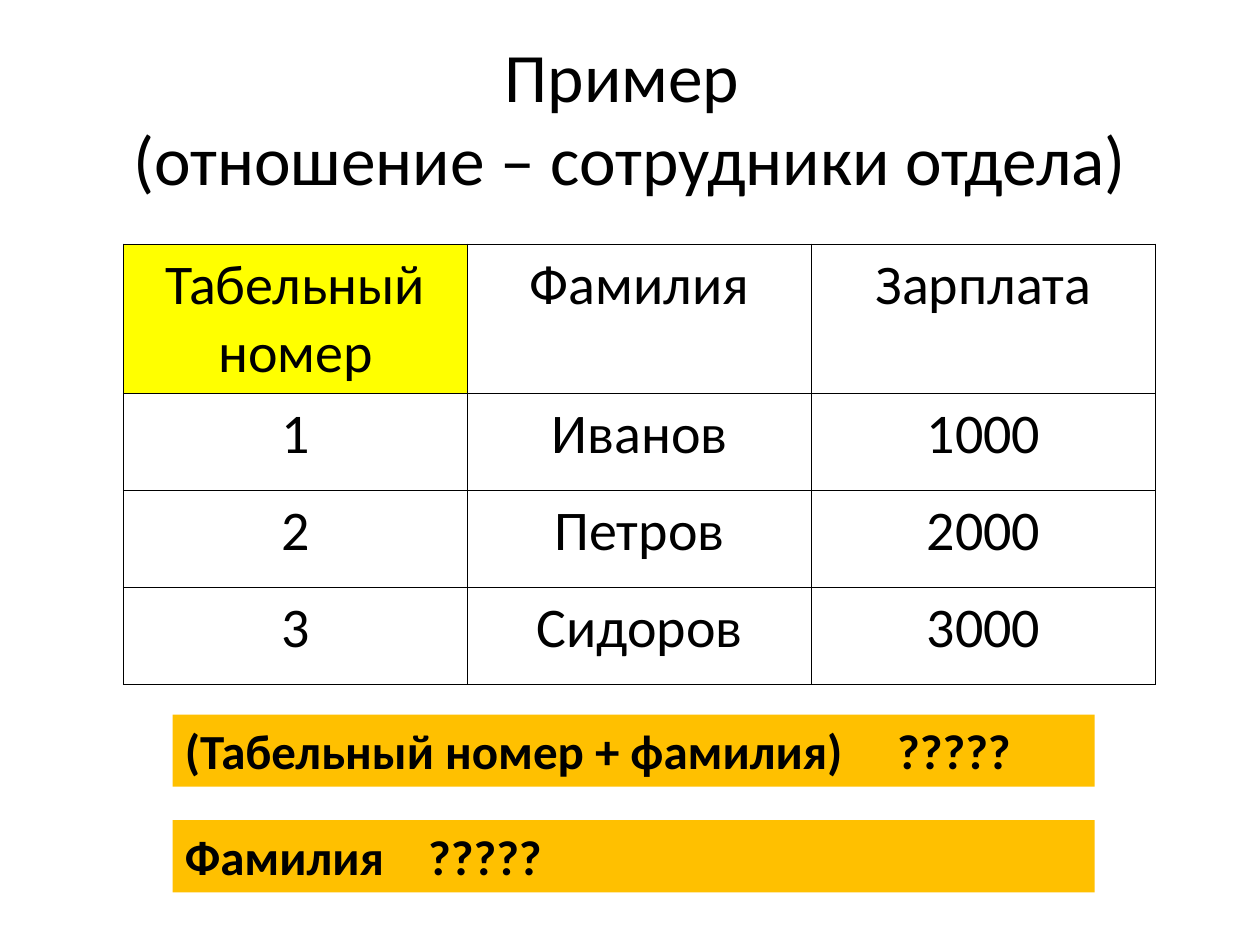
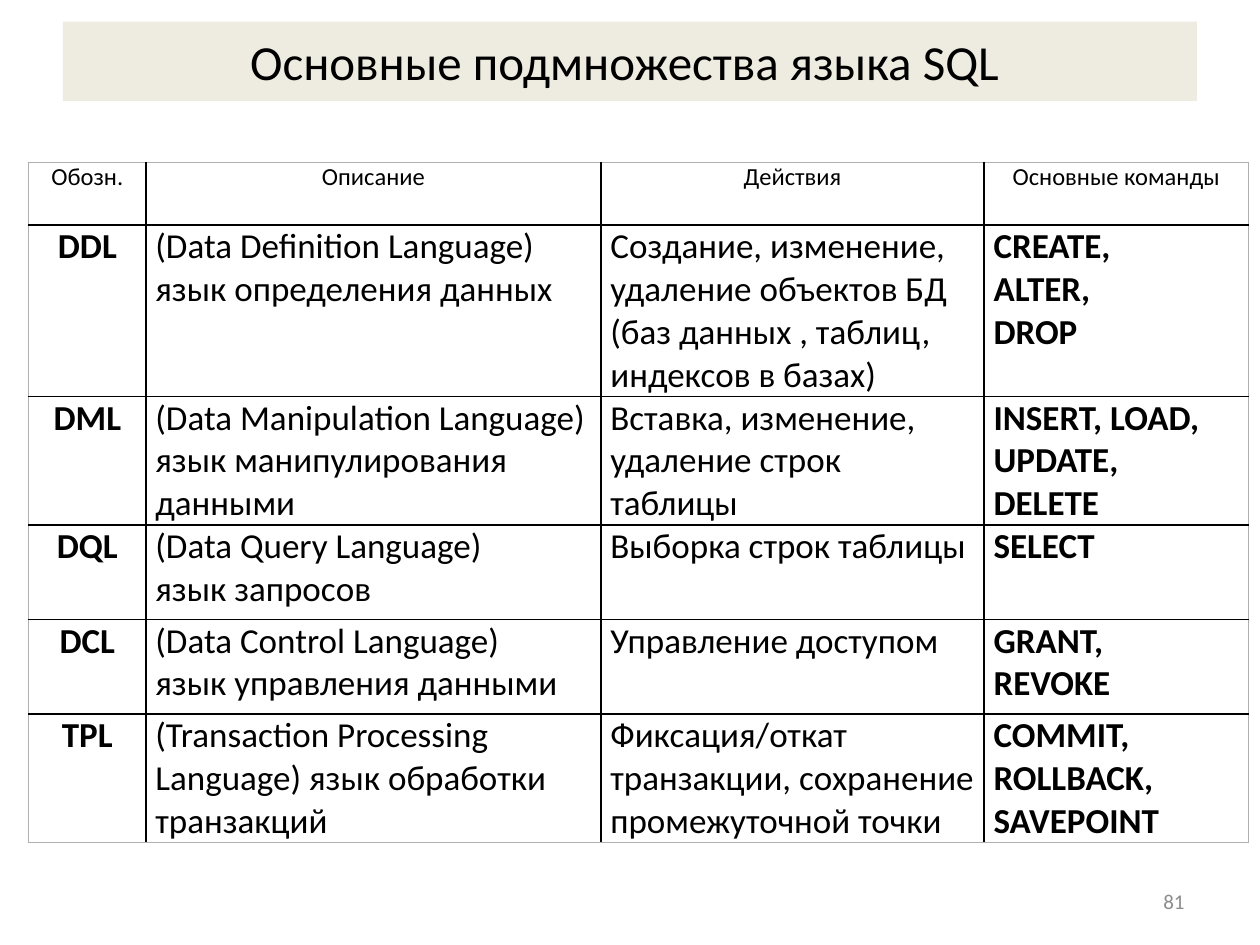
from dataclasses import dataclass
from lxml import etree
from pptx import Presentation
from pptx import util as u
from pptx.dml.color import RGBColor
from pptx.enum import shapes, text
from pptx.oxml import ns

Pt = u.Pt
FONT = "Calibri"
COLORS = {
    "text": "000000",
    "grid": "000000",
    "frame": "B0B0B0",
    "key": "FFFF00",
    "question": "FFC000",
    "title_band": "EEECE1",
    "number": "8C8C8C",
}
LEFT, CENTER, RIGHT = text.PP_ALIGN.LEFT, text.PP_ALIGN.CENTER, text.PP_ALIGN.RIGHT
TOP, MIDDLE = text.MSO_ANCHOR.TOP, text.MSO_ANCHOR.MIDDLE


@dataclass
class Panel:
    """A text rectangle; all lengths are in points."""
    content: str
    left: float
    top: float
    width: float
    height: float
    size: float
    fill: str | None = None
    color: str = "text"
    bold: bool = False
    align: text.PP_ALIGN = CENTER
    anchor: text.MSO_ANCHOR = MIDDLE
    tab: float | None = None


@dataclass
class CellStyle:
    size: float
    bold: bool = False
    align: text.PP_ALIGN = CENTER
    fill: str | None = None


@dataclass
class Grid:
    """A table; all lengths are in points."""
    left: float
    top: float
    columns: list[float]
    rows: list[float]
    cells: list[list[str]]
    frame: str = "grid"
    frame_width: float = 1
    margins: tuple[float, float] = (7.2, 3.6)


def rgb(name: str) -> RGBColor:
    return RGBColor.from_string(COLORS[name])


def paint(target, fill: str | None) -> None:
    if fill:
        target.fill.solid()
        target.fill.fore_color.rgb = rgb(fill)
    else:
        target.fill.background()


def format_text(frame, size: float, color: str, bold: bool, align: text.PP_ALIGN) -> None:
    for paragraph in frame.paragraphs:
        paragraph.alignment = align
        for run in paragraph.runs:
            run.font.name = FONT
            run.font.size = Pt(size)
            run.font.bold = bold
            run.font.color.rgb = rgb(color)


def add_tab(paragraph, position: float) -> None:
    properties = paragraph._p.get_or_add_pPr()
    tabs = etree.SubElement(properties, ns.qn("a:tabLst"))
    etree.SubElement(tabs, ns.qn("a:tab"), pos=str(Pt(position)), algn="l")


def draw_panel(slide, panel: Panel) -> None:
    box = tuple(Pt(v) for v in (panel.left, panel.top, panel.width, panel.height))
    if panel.fill:
        shape = slide.shapes.add_shape(shapes.MSO_SHAPE.RECTANGLE, *box)
        shape.shadow.inherit = False
        shape.line.fill.background()
        paint(shape, panel.fill)
    else:
        shape = slide.shapes.add_textbox(*box)
    frame = shape.text_frame
    frame.word_wrap = True
    frame.vertical_anchor = panel.anchor
    frame.text = panel.content
    if panel.tab:
        add_tab(frame.paragraphs[0], panel.tab)
    format_text(frame, panel.size, panel.color, panel.bold, panel.align)


def draw_borders(cell, edges: list[tuple[str, bool]], grid: Grid) -> None:
    properties = cell._tc.get_or_add_tcPr()
    for index, (side, outer) in enumerate(edges):
        width = grid.frame_width if outer else 1
        line = etree.Element(ns.qn(f"a:ln{side}"), w=str(Pt(width)))
        fill = etree.SubElement(line, ns.qn("a:solidFill"))
        color = COLORS[grid.frame if outer else "grid"]
        etree.SubElement(fill, ns.qn("a:srgbClr"), val=color)
        properties.insert(index, line)


def draw_grid(slide, grid: Grid, style_for) -> None:
    last_row, last_column = len(grid.rows) - 1, len(grid.columns) - 1
    table = slide.shapes.add_table(
        len(grid.rows), len(grid.columns), Pt(grid.left), Pt(grid.top),
        Pt(sum(grid.columns)), Pt(sum(grid.rows))).table
    table.first_row = table.horz_banding = False
    for column, width in zip(table.columns, grid.columns):
        column.width = Pt(width)
    for row, height in zip(table.rows, grid.rows):
        row.height = Pt(height)
    for r, values in enumerate(grid.cells):
        for c, value in enumerate(values):
            cell, style = table.cell(r, c), style_for(r, c)
            cell.margin_left = cell.margin_right = Pt(grid.margins[0])
            cell.margin_top = cell.margin_bottom = Pt(grid.margins[1])
            cell.text_frame.text = value
            format_text(cell.text_frame, style.size, "text", style.bold, style.align)
            paint(cell, style.fill)
            draw_borders(cell, [("L", c == 0), ("R", c == last_column),
                                ("T", r == 0), ("B", r == last_row)], grid)


def employee_style(row: int, column: int) -> CellStyle:
    return CellStyle(32, fill="key" if row == column == 0 else None)


def subset_style(row: int, column: int) -> CellStyle:
    if row == 0:
        return CellStyle(14)
    return CellStyle(20, bold=column in (0, 3), align=CENTER if column == 0 else LEFT)


EMPLOYEES = Grid(
    70.6, 139.7, [196.6] * 3, [85.2] + [55.4] * 3,
    [["Табельный номер", "Фамилия", "Зарплата"],
     ["1", "Иванов", "1000"],
     ["2", "Петров", "2000"],
     ["3", "Сидоров", "3000"]])

# In cells, \v breaks a line and \n starts a paragraph
SUBSETS = Grid(
    16.4, 92.7, [67, 260, 219, 151], [36, 98, 73.4, 54, 54, 73.4],
    [["Обозн.", "Описание", "Действия", "Основные команды"],
     ["DDL", "(Data Definition Language) \vязык определения данных",
      "Создание, изменение, \vудаление объектов БД (баз данных , таблиц, индексов в базах)",
      "CREATE,\nALTER,\nDROP"],
     ["DML", "(Data Manipulation Language)\vязык манипулирования данными",
      "Вставка, изменение, \vудаление строк таблицы",
      "INSERT, LOAD,\nUPDATE,\nDELETE"],
     ["DQL", "(Data Query Language) \vязык запросов", "Выборка строк таблицы", "SELECT"],
     ["DCL", "(Data Control Language) \vязык управления данными",
      "Управление доступом", "GRANT,\nREVOKE"],
     ["TPL", "(Transaction Processing Language) язык обработки транзакций",
      "Фиксация/откат транзакции, сохранение промежуточной точки",
      "COMMIT, ROLLBACK, SAVEPOINT"]],
    frame="frame", frame_width=0.5, margins=(5.4, 0))

QUESTIONS = [("(Табельный номер + фамилия)\t?????", 407), ("Фамилия\t?????", 139)]


def main() -> None:
    presentation = Presentation()
    presentation.slide_width, presentation.slide_height = Pt(720), Pt(540)
    blank = presentation.slide_layouts[6]

    # Employee relation and candidate keys
    slide = presentation.slides.add_slide(blank)
    draw_panel(slide, Panel("Пример \v(отношение – сотрудники отдела)",
                            36, 21.6, 648, 90, 39.6))
    draw_grid(slide, EMPLOYEES, employee_style)
    for index, (question, tab) in enumerate(QUESTIONS):
        draw_panel(slide, Panel(question, 98.6, 408.3 + 60.4 * index, 527, 41.2, 28,
                                fill="question", bold=True, align=LEFT,
                                anchor=TOP, tab=tab))

    # SQL subsets
    slide = presentation.slides.add_slide(blank)
    draw_panel(slide, Panel("Основные подмножества языка SQL ",
                            36, 12.4, 648, 45.2, 28, fill="title_band"))
    draw_grid(slide, SUBSETS, subset_style)
    draw_panel(slide, Panel("81", 516, 500.5, 168, 28.8, 12, color="number", align=RIGHT))

    presentation.save("out.pptx")


if __name__ == "__main__":
    main()
